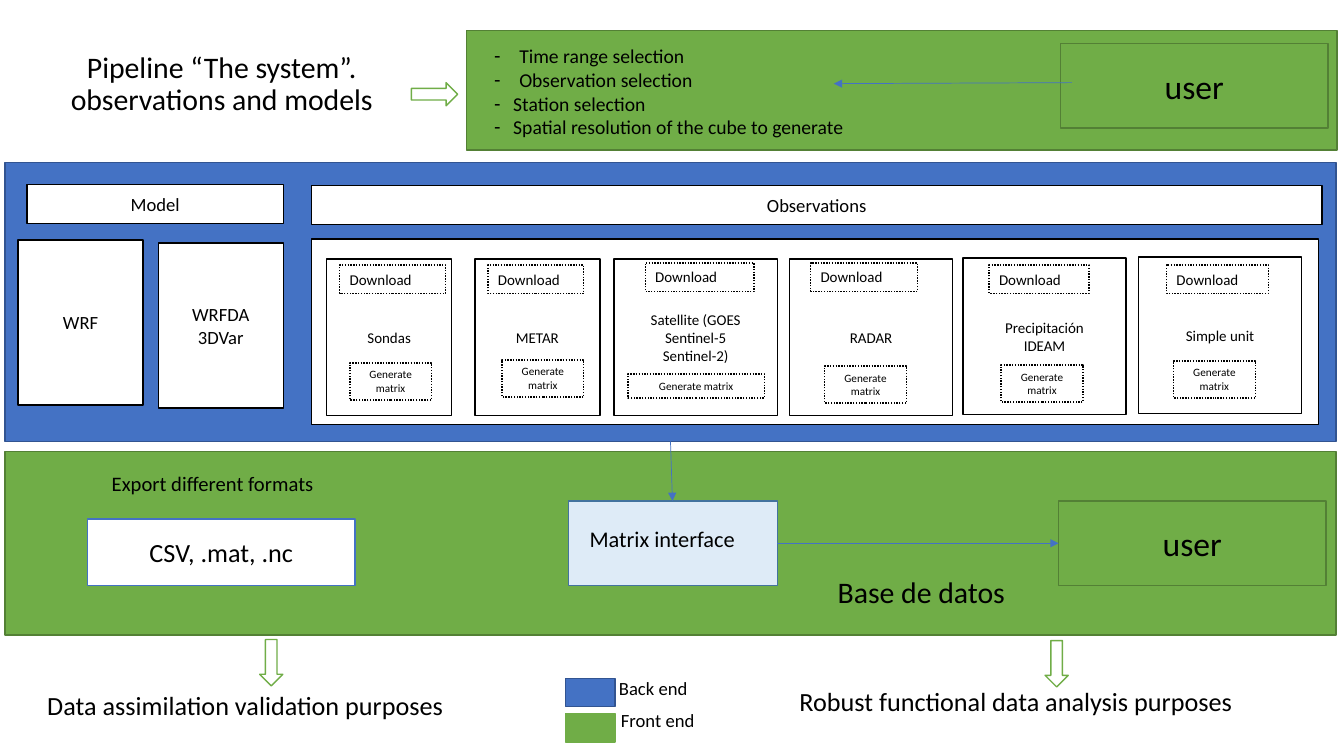
import pptx
import pptx.dml.color
import pptx.enum.dml
import pptx.enum.shapes
import pptx.enum.text
import pptx.oxml.ns
import pptx.util
from lxml import etree
from pptx.util import Inches

FONT = "Calibri"
GREEN, DARK_GREEN = "70AD47", "538035"
BLUE, DARK_BLUE = "4472C4", "325491"
PALE_BLUE, WHITE, BLACK = "DEEBF7", "FFFFFF", "000000"

SHAPE = pptx.enum.shapes.MSO_SHAPE
ALIGN = pptx.enum.text.PP_ALIGN
ANCHOR = pptx.enum.text.MSO_ANCHOR

# Label, frame (left, top, width), download tag and matrix tag (left, top, width, height)
SOURCES = [
    ("Sondas", (3.24, 2.57, 1.24), (3.37, 2.63, 1.05, 0.28), (3.47, 3.6, 0.81, 0.37)),
    ("METAR", (4.71, 2.57, 1.24), (4.84, 2.63, 0.95, 0.28), (4.98, 3.57, 0.81, 0.37)),
    ("Satellite (GOES\nSentinel-5\nSentinel-2)", (6.09, 2.57, 1.62),
     (6.4, 2.61, 1.08, 0.28), (6.23, 3.71, 1.35, 0.24)),
    ("RADAR", (7.83, 2.57, 1.62), (8.04, 2.61, 1.06, 0.28), (8.18, 3.63, 0.81, 0.37)),
    ("Precipitación\nIDEAM", (9.55, 2.56, 1.62),
     (9.81, 2.63, 0.99, 0.28), (9.93, 3.62, 0.81, 0.37)),
    ("Simple unit", (11.29, 2.55, 1.62), (11.57, 2.63, 1.01, 0.28), (11.64, 3.58, 0.81, 0.37)),
]


def color(hex_value):
    return pptx.dml.color.RGBColor.from_string(hex_value)


def write_text(frame, text, size=13.3, align=ALIGN.CENTER, anchor=ANCHOR.MIDDLE,
               wrap=True, spacing=None):
    frame.word_wrap = wrap
    frame.auto_size = pptx.enum.text.MSO_AUTO_SIZE.NONE
    frame.vertical_anchor = anchor
    frame.text = text
    for paragraph in frame.paragraphs:
        paragraph.alignment = align
        paragraph.space_before = pptx.util.Pt(0)
        paragraph.line_spacing = spacing
        for run in paragraph.runs:
            run.font.name = FONT
            run.font.size = pptx.util.Pt(size)
            run.font.color.rgb = color(BLACK)


def add_box(slide, at, fill=WHITE, line=BLACK, text="", kind=SHAPE.RECTANGLE,
            dotted=False, rotation=0, **text_format):
    box = slide.shapes.add_shape(kind, *map(Inches, at))
    box.shadow.inherit = False
    box.rotation = rotation
    box.fill.solid()
    box.fill.fore_color.rgb = color(fill)
    box.line.color.rgb = color(line)
    box.line.width = pptx.util.Pt(1)
    if dotted:
        box.line.dash_style = pptx.enum.dml.MSO_LINE.ROUND_DOT
    if text:
        write_text(box.text_frame, text, **text_format)


def add_label(slide, at, text, size):
    label = slide.shapes.add_textbox(*map(Inches, at))
    write_text(label.text_frame, text, size=size, align=ALIGN.LEFT,
               anchor=ANCHOR.TOP, wrap=False)


def add_arrow(slide, start, end):
    arrow = slide.shapes.add_connector(
        pptx.enum.shapes.MSO_CONNECTOR.STRAIGHT, *map(Inches, start + end))
    arrow.line.color.rgb = color(BLUE)
    arrow.line.width = pptx.util.Pt(0.5)
    etree.SubElement(arrow.line._get_or_add_ln(),
                     pptx.oxml.ns.qn("a:tailEnd"), type="triangle")
    etree.SubElement(arrow._element.spPr, pptx.oxml.ns.qn("a:effectLst"))


def place(placeholder, at):
    placeholder.left, placeholder.top, placeholder.width, placeholder.height = map(Inches, at)


def set_dash_bullet(paragraph, indent):
    properties = paragraph._p.get_or_add_pPr()
    properties.set("marL", str(Inches(indent)))
    properties.set("indent", str(-Inches(indent)))
    etree.SubElement(properties, pptx.oxml.ns.qn("a:buChar"), char="-")


def add_title(slide):
    title = slide.shapes.title
    place(title, (0.18, 0.42, 4.04, 0.84))
    write_text(title.text_frame, "Pipeline “The system”. observations and models",
               size=21.3, spacing=0.9)


def add_selection_list(slide):
    selections = slide.placeholders[1]
    place(selections, (4.8, 0.39, 3.7, 1.04))
    # Bring the list in front of its panel
    selections._element.getparent().append(selections._element)
    write_text(selections.text_frame,
               "Time range selection\nObservation selection\nStation selection\n"
               "Spatial resolution of the cube to generate",
               size=14, align=ALIGN.LEFT, anchor=ANCHOR.TOP, wrap=False)
    for paragraph, indent in zip(selections.text_frame.paragraphs, (0.25, 0.25, 0.19, 0.19)):
        set_dash_bullet(paragraph, indent)


def add_source(slide, label, frame, download, matrix):
    add_box(slide, (*frame, 1.55), text=label, size=10.7)
    add_box(slide, download, text="Download", dotted=True, size=10.7,
            align=ALIGN.LEFT, anchor=ANCHOR.TOP)
    add_box(slide, matrix, text="Generate matrix", dotted=True, size=8, anchor=ANCHOR.TOP)


def main():
    deck = pptx.Presentation()
    deck.slide_width, deck.slide_height = Inches(13.33), Inches(7.5)
    slide = deck.slides.add_slide(deck.slide_layouts[1])

    # Front end and back end panels
    add_box(slide, (0.05, 4.48, 13.2, 1.82), GREEN, DARK_GREEN)
    add_box(slide, (4.63, 0.3, 8.63, 1.19), GREEN, DARK_GREEN)
    add_box(slide, (0.05, 1.61, 13.2, 2.77), BLUE, DARK_BLUE)

    # Request: title, selections and user
    add_title(slide)
    add_selection_list(slide)
    add_box(slide, (10.52, 0.43, 2.65, 0.84), GREEN, DARK_GREEN, "user", size=24)
    add_arrow(slide, (10.63, 0.82), (8.27, 0.83))

    # Models
    add_box(slide, (0.27, 1.83, 2.54, 0.39), text="Model")
    add_box(slide, (0.18, 2.38, 1.24, 1.64), text="WRF")
    add_box(slide, (1.57, 2.41, 1.24, 1.64), text="WRFDA\n3DVar")

    # Observations
    add_box(slide, (3.09, 1.84, 10.02, 0.39), text="Observations")
    add_box(slide, (3.09, 2.37, 9.99, 1.84))
    for source in SOURCES:
        add_source(slide, *source)

    # Delivery: formats, matrix interface and user
    add_label(slide, (1.01, 4.62, 2.22, 0.35), "Export different formats", 14.7)
    add_box(slide, (0.87, 5.15, 2.65, 0.66), line=BLUE, text="CSV, .mat, .nc", size=18.7)
    add_box(slide, (5.64, 4.97, 2.07, 0.84), PALE_BLUE, "43739E")
    add_label(slide, (5.75, 5.16, 1.66, 0.37), "Matrix interface", 16)
    add_label(slide, (8.21, 5.64, 1.89, 0.46), "Base de datos", 21.3)
    add_box(slide, (10.5, 4.97, 2.65, 0.84), GREEN, DARK_GREEN, "user", size=24)
    add_arrow(slide, (6.65, 4.38), (6.67, 4.97))
    add_arrow(slide, (7.71, 5.39), (10.5, 5.39))

    # Block arrows and purposes
    for left, top, rotation in ((4.08, 0.82, 0), (2.46, 6.46, 90), (10.25, 6.47, 90)):
        add_box(slide, (left, top, 0.46, 0.23), line=GREEN,
                kind=SHAPE.RIGHT_ARROW, rotation=rotation)
    add_label(slide, (0.37, 6.79, 4.21, 0.42), "Data assimilation validation purposes", 18.7)
    add_label(slide, (7.83, 6.75, 4.52, 0.42), "Robust functional data analysis purposes", 18.7)

    # Legend
    add_box(slide, (5.61, 6.73, 0.49, 0.28), BLUE, DARK_BLUE)
    add_box(slide, (5.61, 7.08, 0.49, 0.28), GREEN, GREEN)
    add_label(slide, (6.04, 6.67, 0.89, 0.33), "Back end", 13.3)
    add_label(slide, (6.06, 6.98, 0.94, 0.33), "Front end", 13.3)

    deck.save("out.pptx")


if __name__ == "__main__":
    main()
